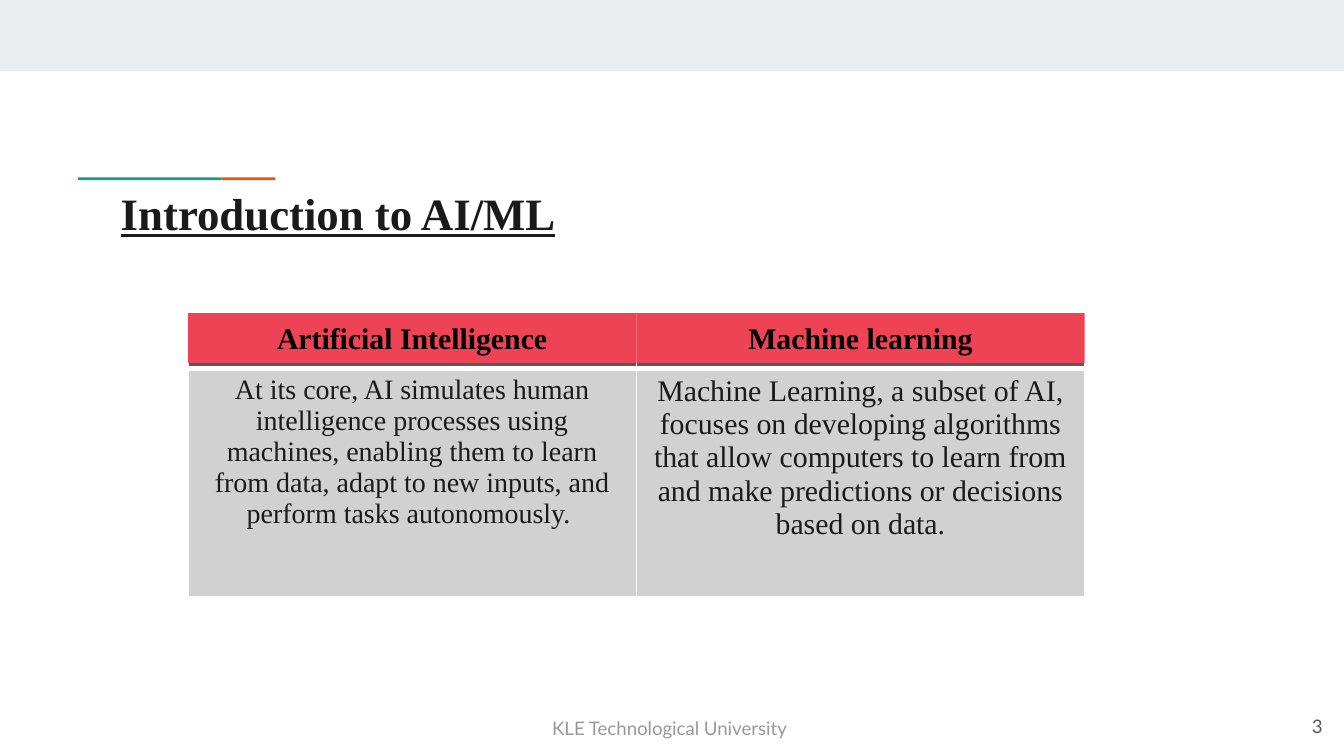
"""Builds the slide that introduces AI and machine learning side by side."""
from lxml.etree import SubElement
from pptx import Presentation
from pptx.dml.color import RGBColor
from pptx.enum.shapes import MSO_SHAPE as Shape
from pptx.enum.text import MSO_ANCHOR as Anchor, PP_ALIGN as Align
from pptx.oxml.ns import qn
from pptx.util import Inches, Pt

WHITE = RGBColor(0xFF, 0xFF, 0xFF)
BLACK = RGBColor(0x00, 0x00, 0x00)
INK = RGBColor(0x1A, 0x1A, 0x1A)
DARK_GRAY = RGBColor(0x59, 0x59, 0x59)
FOOTER_GRAY = RGBColor(0x99, 0x99, 0x99)
CELL_GRAY = RGBColor(0xD1, 0xD1, 0xD1)
BAND_GRAY = RGBColor(0xE9, 0xED, 0xEE)
TEAL = RGBColor(0x1A, 0x99, 0x88)
ORANGE = RGBColor(0xEB, 0x56, 0x00)
RED = RGBColor(0xED, 0x43, 0x54)

SERIF = "Times New Roman"
SANS = "Lato"

SLIDE_WIDTH = 10
SLIDE_HEIGHT = SLIDE_WIDTH * 9 / 16
TABLE_LEFT, TABLE_TOP, TABLE_WIDTH = 1.4, 2.33, 6.67
ROW_HEIGHTS = (0.41, 1.7)
HEADING_HEIGHT = 0.37
TOPICS = (
    ("Artificial Intelligence", 15,
     "At its core, AI simulates human intelligence processes using machines, "
     "enabling them to learn from data, adapt to new inputs, and perform tasks "
     "autonomously. "),
    ("Machine learning", 16,
     "Machine Learning, a subset of AI, focuses on developing algorithms that "
     "allow computers to learn from and make predictions or decisions based on "
     "data."),
)
COLUMN_WIDTH = TABLE_WIDTH / len(TOPICS)


def write(frame, text, size, font, color, align=Align.LEFT, bold=False, underline=False):
    """Put one formatted run into the first paragraph of a text frame."""
    para = frame.paragraphs[0]
    para.alignment = align
    span = para.add_run()
    span.text = text
    span.font.size = Pt(size)
    span.font.name = font
    span.font.color.rgb = color
    span.font.bold = bold
    span.font.underline = underline


def add_block(page, left, top, width, height, color):
    """Add a plain filled rectangle without outline or shadow."""
    block = page.shapes.add_shape(
        Shape.RECTANGLE, Inches(left), Inches(top), Inches(width), Inches(height))
    block.shadow.inherit = False
    block.fill.solid()
    block.fill.fore_color.rgb = color
    block.line.fill.background()
    return block


def add_label(page, left, top, width, height, anchor=Anchor.TOP, **style):
    """Add a wrapping text box with one styled line."""
    box = page.shapes.add_textbox(
        Inches(left), Inches(top), Inches(width), Inches(height))
    frame = box.text_frame
    frame.word_wrap = True
    frame.vertical_anchor = anchor
    frame.margin_left = frame.margin_right = Inches(0.1)
    frame.margin_top = frame.margin_bottom = Inches(0.1)
    write(frame, **style)


def style_cell(cell, color, top=1, bottom=1):
    """Fill a cell and give it white borders of the given point widths."""
    properties = cell._tc.get_or_add_tcPr()
    for side, points in (("L", 1), ("R", 1), ("T", top), ("B", bottom)):
        border = SubElement(properties, qn(f"a:ln{side}"), w=str(Pt(points)))
        fill = SubElement(border, qn("a:solidFill"))
        SubElement(fill, qn("a:srgbClr"), val=str(WHITE))
    cell.fill.solid()
    cell.fill.fore_color.rgb = color


def add_comparison(page):
    """Add the two-column table and the red headings over its first row."""
    table = page.shapes.add_table(
        len(ROW_HEIGHTS), len(TOPICS), Inches(TABLE_LEFT), Inches(TABLE_TOP),
        Inches(TABLE_WIDTH), Inches(sum(ROW_HEIGHTS))).table
    for row, height in zip(table.rows, ROW_HEIGHTS):
        row.height = Inches(height)
    for index, (heading, size, description) in enumerate(TOPICS):
        table.columns[index].width = Inches(COLUMN_WIDTH)
        style_cell(table.cell(0, index), DARK_GRAY, bottom=3)
        body = table.cell(1, index)
        style_cell(body, CELL_GRAY, top=3)
        write(body.text_frame, description, size, SERIF, INK, Align.CENTER)
        block = add_block(page, TABLE_LEFT + index * COLUMN_WIDTH, TABLE_TOP,
                          COLUMN_WIDTH, HEADING_HEIGHT, RED)
        write(block.text_frame, heading, 16, SERIF, BLACK, Align.CENTER, bold=True)


def main():
    """Build and save the slide."""
    deck = Presentation()
    deck.slide_width, deck.slide_height = Inches(SLIDE_WIDTH), Inches(SLIDE_HEIGHT)
    page = deck.slides.add_slide(deck.slide_layouts[6])
    add_block(page, 0, 0, SLIDE_WIDTH, 0.53, BAND_GRAY)
    add_block(page, 0.58, 1.32, 1.07, 0.02, TEAL)
    add_block(page, 1.65, 1.32, 0.4, 0.02, ORANGE)
    add_label(page, 0.8, 1.28, 8.41, 0.59,
              text="Introduction to AI/ML", size=24, font=SERIF, color=INK,
              bold=True, underline=True)
    add_label(page, 9.34, 5.19, 0.6, 0.43, anchor=Anchor.MIDDLE,
              text="3", size=10, font=SANS, color=DARK_GRAY, align=Align.RIGHT)
    add_label(page, 4.01, 5.25, 1.98, 0.53,
              text="KLE Technological University", size=10, font=SANS, color=FOOTER_GRAY)
    add_comparison(page)
    deck.save("out.pptx")


if __name__ == "__main__":
    main()
